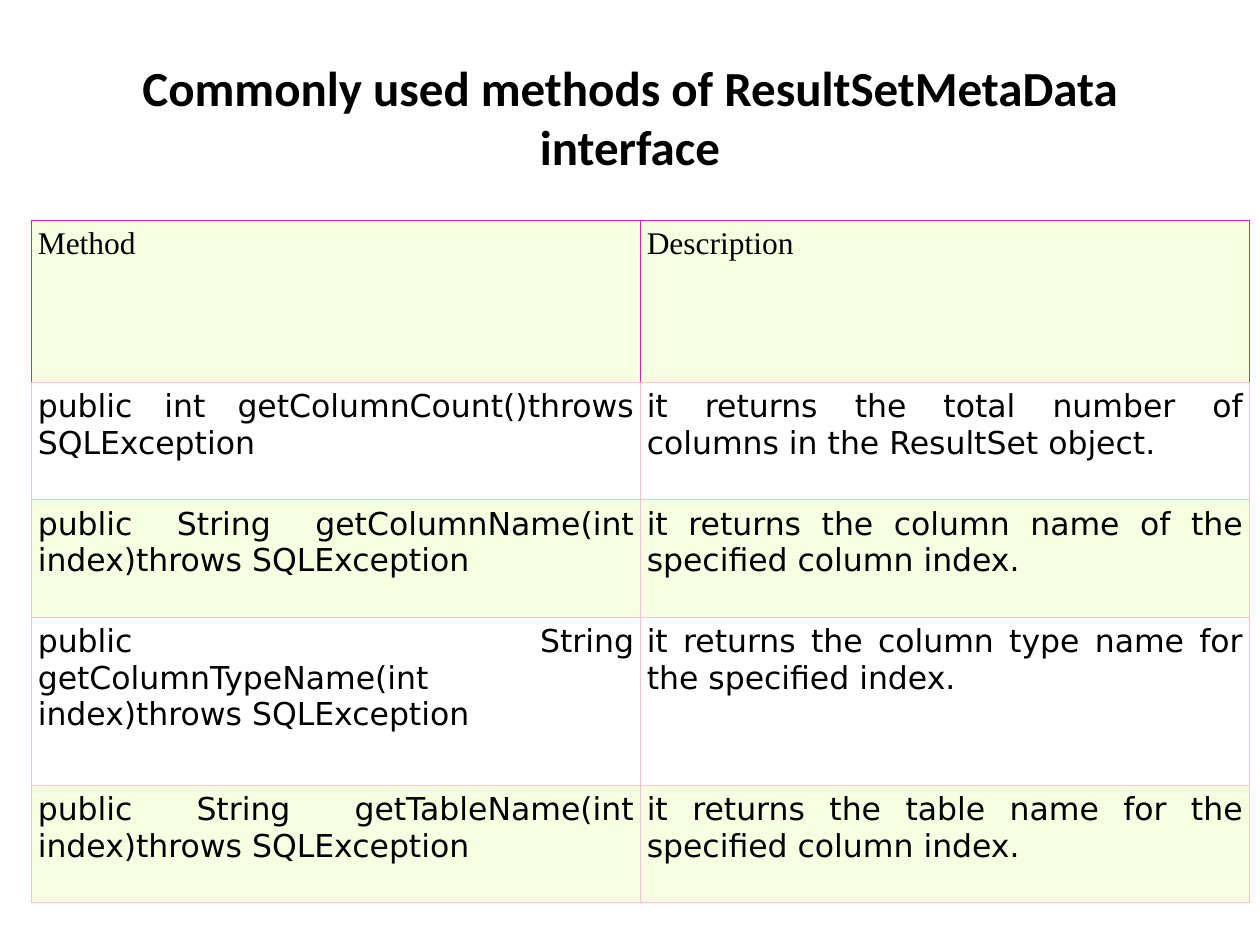
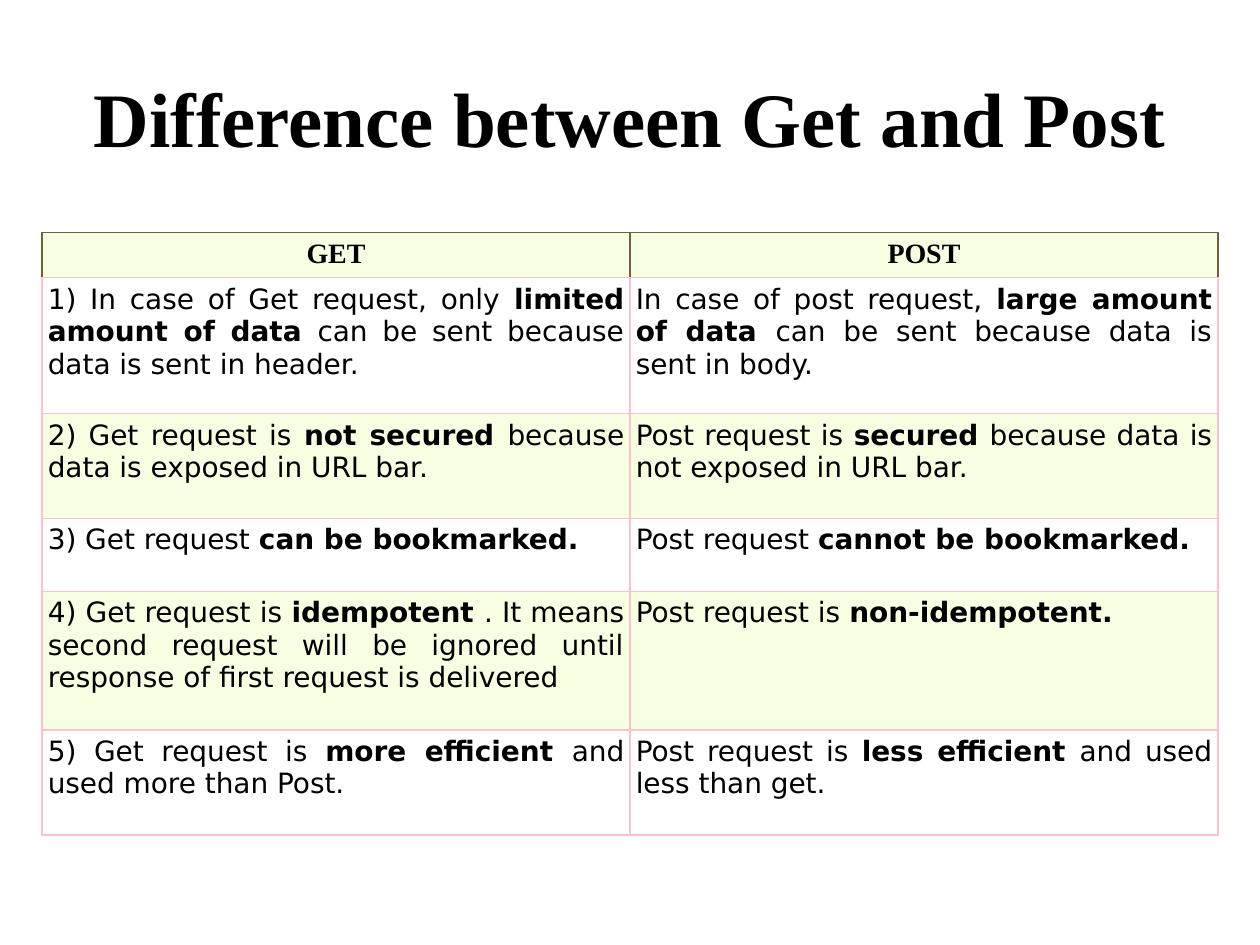
from dataclasses import dataclass
from typing import Any

from lxml.etree import SubElement
from pptx import Presentation
from pptx.dml.color import RGBColor
from pptx.enum.text import MSO_ANCHOR, PP_ALIGN
from pptx.oxml.ns import qn
from pptx.util import Pt

BLACK, WHITE, PALE, PINK = "000000", "FFFFFF", "F6FFE1", "FFC0CB"
SERIF, SANS, HEADING = "Times New Roman", "DejaVu Sans", "Calibri"


@dataclass
class TableSlide:
    """A title above a two-column table; asterisks enclose bold words."""
    title: str
    title_font: str
    title_size: float
    left: float
    top: float
    col_width: float
    heights: list[float]
    inset: float
    size: float
    head_align: Any
    head_bold: bool
    head_border: str
    rows: list[tuple[str, str]]


SLIDES = [
    TableSlide(
        "Commonly used methods of ResultSetMetaData interface", HEADING, 28,
        18, 126, 348, [92.4, 67.2, 67.2, 96, 67.2], 3.6, 18,
        PP_ALIGN.LEFT, False, "E01CC0",
        [("Method", "Description"),
         ("public int getColumnCount()throws SQLException",
          "it returns the total number of columns in the ResultSet object."),
         ("public String getColumnName(int index)throws SQLException",
          "it returns the column name of the specified column index."),
         ("public String getColumnTypeName(int index)throws SQLException",
          "it returns the column type name for the specified index."),
         ("public String getTableName(int index)throws SQLException",
          "it returns the table name for the specified column index.")]),
    TableSlide(
        "Difference between Get and Post", SERIF, 44,
        24, 133, 336, [24.6, 77.7, 59.6, 41.8, 79.3, 60], 3.3, 16,
        PP_ALIGN.CENTER, True, "706241",
        [("GET", "POST"),
         ("1) In case of Get request, only *limited amount of data *can be sent "
          "because data is sent in header.",
          "In case of post request, *large amount of data *can be sent "
          "because data is sent in body."),
         ("2) Get request is *not secured *because data is exposed in URL bar.",
          "Post request is *secured *because data is not exposed in URL bar."),
         ("3) Get request *can be bookmarked.*",
          "Post request *cannot be bookmarked.*"),
         ("4) Get request is *idempotent *. It means second request will be "
          "ignored until response of first request is delivered",
          "Post request is *non-idempotent.*"),
         ("5) Get request is *more efficient *and used more than Post.",
          "Post request is *less efficient *and used less than get.")]),
]


def rgb(color: str) -> RGBColor:
    """Turn a hex string into a colour."""
    return RGBColor.from_string(color)


def write(tf: Any, text: str, *, font: str, size: float, align: Any,
          bold: bool = False, color: str = BLACK) -> None:
    """Write one paragraph, switching bold at each asterisk."""
    p = tf.paragraphs[0]
    p.alignment = align
    for i, part in enumerate(text.split("*")):
        if part:
            r = p.add_run()
            r.text = part
            r.font.name, r.font.size = font, Pt(size)
            r.font.bold = bold or i % 2 == 1
            r.font.color.rgb = rgb(color)


def set_borders(cell: Any, side: str, bottom: str) -> None:
    """Draw the left, right and top borders in one colour, the bottom in another."""
    tc_pr = cell._tc.get_or_add_tcPr()
    for edge, color in zip("LRTB", (side, side, side, bottom)):
        ln = SubElement(tc_pr, qn(f"a:ln{edge}"), w=str(Pt(0.75)))
        SubElement(SubElement(ln, qn("a:solidFill")), qn("a:srgbClr"), val=color)


def add_title(s: Any, spec: TableSlide) -> None:
    """Add the centred bold title."""
    tf = s.shapes.add_textbox(Pt(36), Pt(21.6), Pt(648), Pt(90)).text_frame
    tf.word_wrap = True
    tf.vertical_anchor = MSO_ANCHOR.MIDDLE
    write(tf, spec.title, font=spec.title_font, size=spec.title_size,
          align=PP_ALIGN.CENTER, bold=True)


def add_grid(s: Any, spec: TableSlide) -> None:
    """Add the table with a header row and alternating fills."""
    table = s.shapes.add_table(
        len(spec.rows), 2, Pt(spec.left), Pt(spec.top),
        Pt(2 * spec.col_width), Pt(sum(spec.heights))).table
    table.first_row = table.horz_banding = False
    for col in table.columns:
        col.width = Pt(spec.col_width)
    for i, (texts, height) in enumerate(zip(spec.rows, spec.heights)):
        table.rows[i].height = Pt(height)
        head = i == 0
        for j, text in enumerate(texts):
            cell = table.cell(i, j)
            cell.margin_left = cell.margin_right = Pt(spec.inset)
            cell.margin_top = cell.margin_bottom = Pt(spec.inset)
            set_borders(cell, spec.head_border if head else PINK, PINK)
            cell.fill.solid()
            cell.fill.fore_color.rgb = rgb(WHITE if i % 2 else PALE)
            write(cell.text_frame, text, font=SERIF if head else SANS,
                  size=spec.size, bold=head and spec.head_bold,
                  align=spec.head_align if head else PP_ALIGN.JUSTIFY)


def main() -> None:
    """Build and save the slides."""
    prs = Presentation()
    prs.slide_width, prs.slide_height = Pt(720), Pt(540)
    for spec in SLIDES:
        s = prs.slides.add_slide(prs.slide_layouts[6])
        add_title(s, spec)
        add_grid(s, spec)
    prs.save("out.pptx")


if __name__ == "__main__":
    main()
